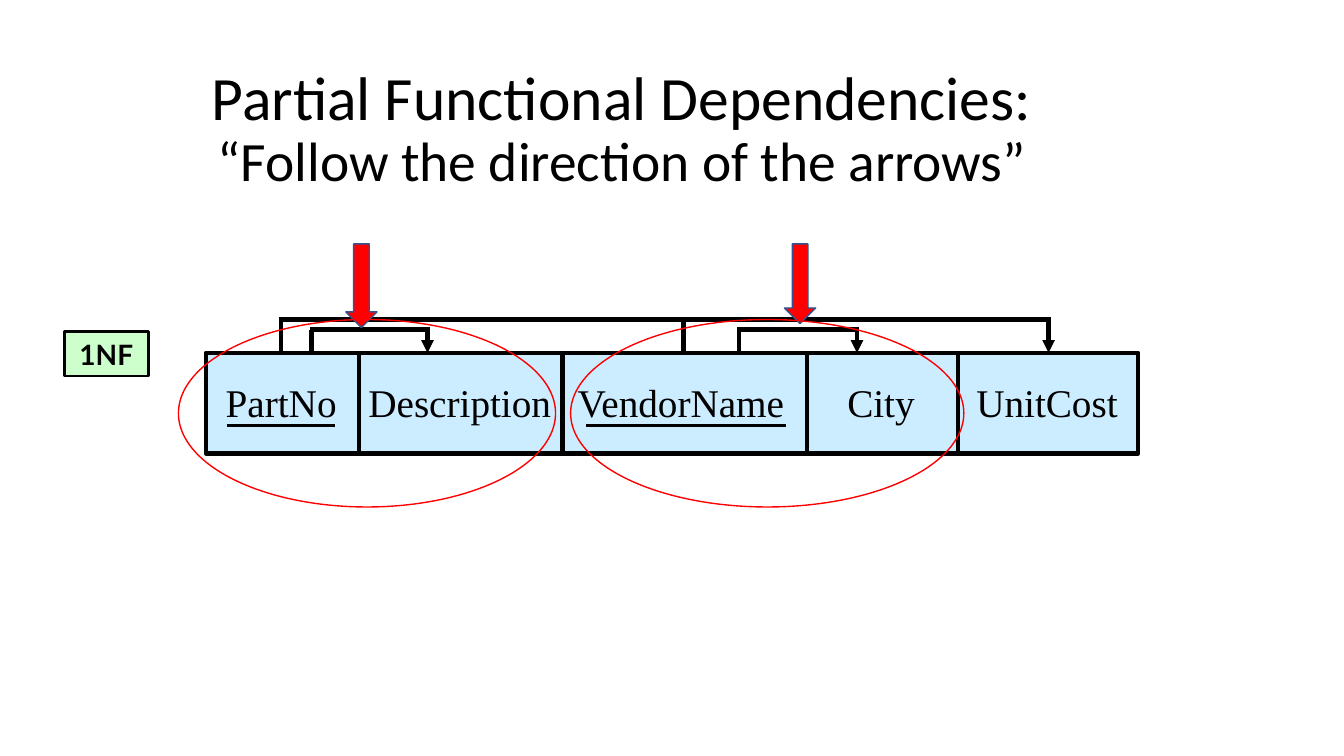
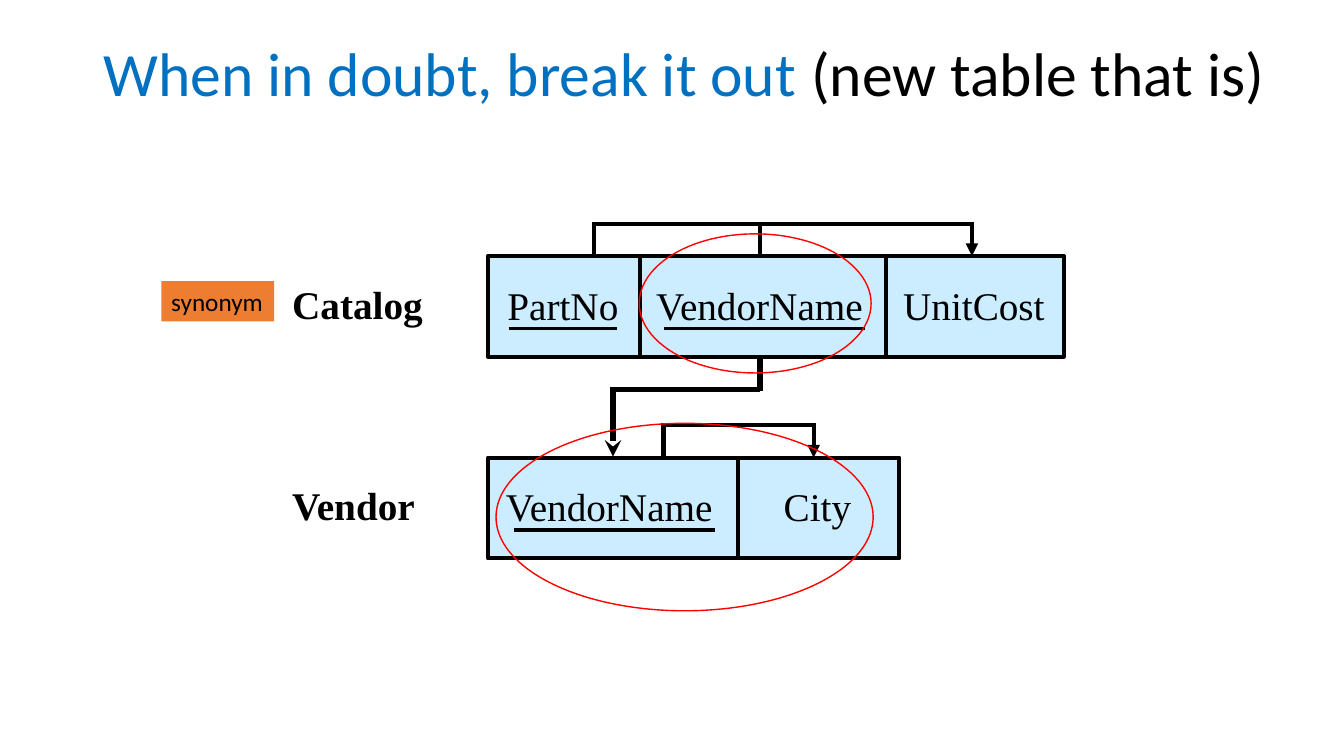
from lxml import etree
from pptx import Presentation
from pptx.dml.color import RGBColor
from pptx.enum.shapes import MSO_CONNECTOR, MSO_SHAPE
from pptx.enum.text import MSO_ANCHOR, PP_ALIGN
from pptx.oxml.ns import qn
from pptx.util import Inches, Pt

BLACK, RED, BLUE = "000000", "FF0000", "0070C0"
CELL, GREEN, ORANGE, NAVY = "CCECFF", "CCFFCC", "ED7D31", "325491"
TITLE = {"name": "Calibri", "size": Pt(44)}
SUBTITLE = {"name": "Calibri", "size": Pt(39.6)}
FIELD = {"name": "Times New Roman", "size": Pt(28)}
LABEL = {**FIELD, "bold": True}
FORM = {"name": "Lato", "size": Pt(20), "bold": True}
NOTE = {"name": "Calibri", "size": Pt(18)}

TEXT_WIDTHS = {"PartNo": 1.3, "Description": 2.01, "VendorName": 2.3,
               "City": 0.87, "UnitCost": 1.6}
KEY_LINES = {"PartNo": (0.11, 1.07), "VendorName": (0.18, 1.99)}


def rgb(value):
    return RGBColor.from_string(value)


def inches(values):
    return [Inches(v) for v in values]


def write(sp, runs, align=PP_ALIGN.LEFT, anchor=MSO_ANCHOR.TOP, wrap=False, spacing=None):
    tf = sp.text_frame
    tf.word_wrap = wrap
    tf.vertical_anchor = anchor
    p = tf.paragraphs[0]
    p.alignment = align
    p.line_spacing = spacing
    for text, style, color in runs:
        if text == "\n":
            p.add_line_break()
            continue
        r = p.add_run()
        r.text = text
        for name, value in style.items():
            setattr(r.font, name, value)
        r.font.color.rgb = rgb(color)


def text_box(s, box, *runs, **layout):
    write(s.shapes.add_textbox(*inches(box)), runs, **layout)


def title(s, box, *runs):
    text_box(s, box, *runs, align=PP_ALIGN.CENTER, anchor=MSO_ANCHOR.MIDDLE,
             wrap=True, spacing=0.9)


def shape(s, kind, box, fill=None, line=None, weight=1):
    sp = s.shapes.add_shape(kind, *inches(box))
    sp.shadow.inherit = False
    if fill:
        sp.fill.solid()
        sp.fill.fore_color.rgb = rgb(fill)
    else:
        sp.fill.background()
    if line:
        sp.line.color.rgb = rgb(line)
        sp.line.width = Pt(weight)
    else:
        sp.line.fill.background()
    return sp


def line(s, start, end, weight=3, head=None):
    c = s.shapes.add_connector(MSO_CONNECTOR.STRAIGHT, *inches(start + end))
    c.line.color.rgb = rgb(BLACK)
    c.line.width = Pt(weight)
    props = c.element.spPr
    if head:
        etree.SubElement(props.find(qn("a:ln")), qn("a:tailEnd"), type=head)
    etree.SubElement(props, qn("a:effectLst"))


def relation(s, box, columns):
    left, top, width, height = box
    shape(s, MSO_SHAPE.RECTANGLE, box, CELL, BLACK, 3)
    x = left
    for name, column in columns:
        if x > left:
            line(s, (x, top), (x, top + height))
        text_width = TEXT_WIDTHS[name]
        text_left = x + (column - text_width) / 2 - 0.01
        text_box(s, (text_left, top + 0.2, text_width, 0.57), (name, FIELD, BLACK))
        if name in KEY_LINES:
            indent, length = KEY_LINES[name]
            y = top + 0.72
            line(s, (text_left + indent, y), (text_left + indent + length, y), 2.5)
        x += column


def dependency(s, box, joins=()):
    left, top, width, height = box
    right, bottom = left + width, top + height
    for x in (left, *joins):
        line(s, (x, top), (x, bottom))
    line(s, (right, top), (right, bottom), head="triangle")
    line(s, (left - 0.02, top), (right + 0.02, top))


def foreign_key(s, box):
    left, top, width, height = box
    right, middle = left + width, top + height / 3
    line(s, (right, middle + 0.02), (right, top), 4)
    line(s, (left - 0.03, middle), (right, middle), 4)
    line(s, (left, middle), (left, top + height), 4, "stealth")


def highlight(s, *boxes):
    for box in boxes:
        shape(s, MSO_SHAPE.OVAL, box, line=RED)


def partial_dependencies(s):
    title(s, (1.17, 0.67, 10, 1.25),
          ("Partial Functional Dependencies:", TITLE, BLACK), ("\n", TITLE, BLACK),
          ("“Follow the direction of the arrows”", SUBTITLE, BLACK))
    relation(s, (2.04, 3.5, 9.25, 1),
             [("PartNo", 1.52), ("Description", 2.02), ("VendorName", 2.42),
              ("City", 1.5), ("UnitCost", 1.79)])
    dependency(s, (3.09, 3.27, 1.15, 0.23))
    dependency(s, (7.33, 3.27, 1.17, 0.23))
    dependency(s, (2.79, 3.17, 7.61, 0.33), [6.78])
    for x, height in ((3.43, 0.83), (7.78, 0.79)):
        shape(s, MSO_SHAPE.DOWN_ARROW, (x, 2.42, 0.31, height), RED, NAVY)
    form = shape(s, MSO_SHAPE.RECTANGLE, (0.64, 3.29, 0.83, 0.44), GREEN, BLACK, 2)
    write(form, [("1NF", FORM, BLACK)], PP_ALIGN.CENTER, MSO_ANCHOR.MIDDLE)
    highlight(s, (1.77, 3.17, 3.74, 1.86), (5.66, 3.17, 3.9, 1.86))


def new_table(s):
    title(s, (0.61, 0.13, 12.35, 1.25),
          ("When in doubt, break it out ", TITLE, BLUE),
          ("(new table that is)", TITLE, BLACK))
    relation(s, (4.84, 2.54, 5.71, 1),
             [("PartNo", 1.51), ("VendorName", 2.44), ("UnitCost", 1.76)])
    dependency(s, (5.89, 2.22, 3.75, 0.32), [7.54])
    relation(s, (4.84, 4.54, 4.08, 1), [("VendorName", 2.48), ("City", 1.6)])
    dependency(s, (6.58, 4.22, 1.49, 0.32))
    foreign_key(s, (6.08, 3.53, 1.46, 1))
    for name, y in (("Catalog", 2.73), ("Vendor", 4.73)):
        text_box(s, (2.8, y, 1.5, 0.57), (name, LABEL, BLACK))
    synonym = shape(s, MSO_SHAPE.RECTANGLE, (1.6, 2.79, 1.12, 0.4), ORANGE)
    write(synonym, [("synonym", NOTE, BLACK)])
    highlight(s, (4.92, 4.2, 3.74, 1.86), (6.34, 2.32, 2.3, 1.38))


prs = Presentation()
prs.slide_width, prs.slide_height = Inches(13.33), Inches(7.5)
for build in (partial_dependencies, new_table):
    build(prs.slides.add_slide(prs.slide_layouts[6]))
prs.save("out.pptx")
